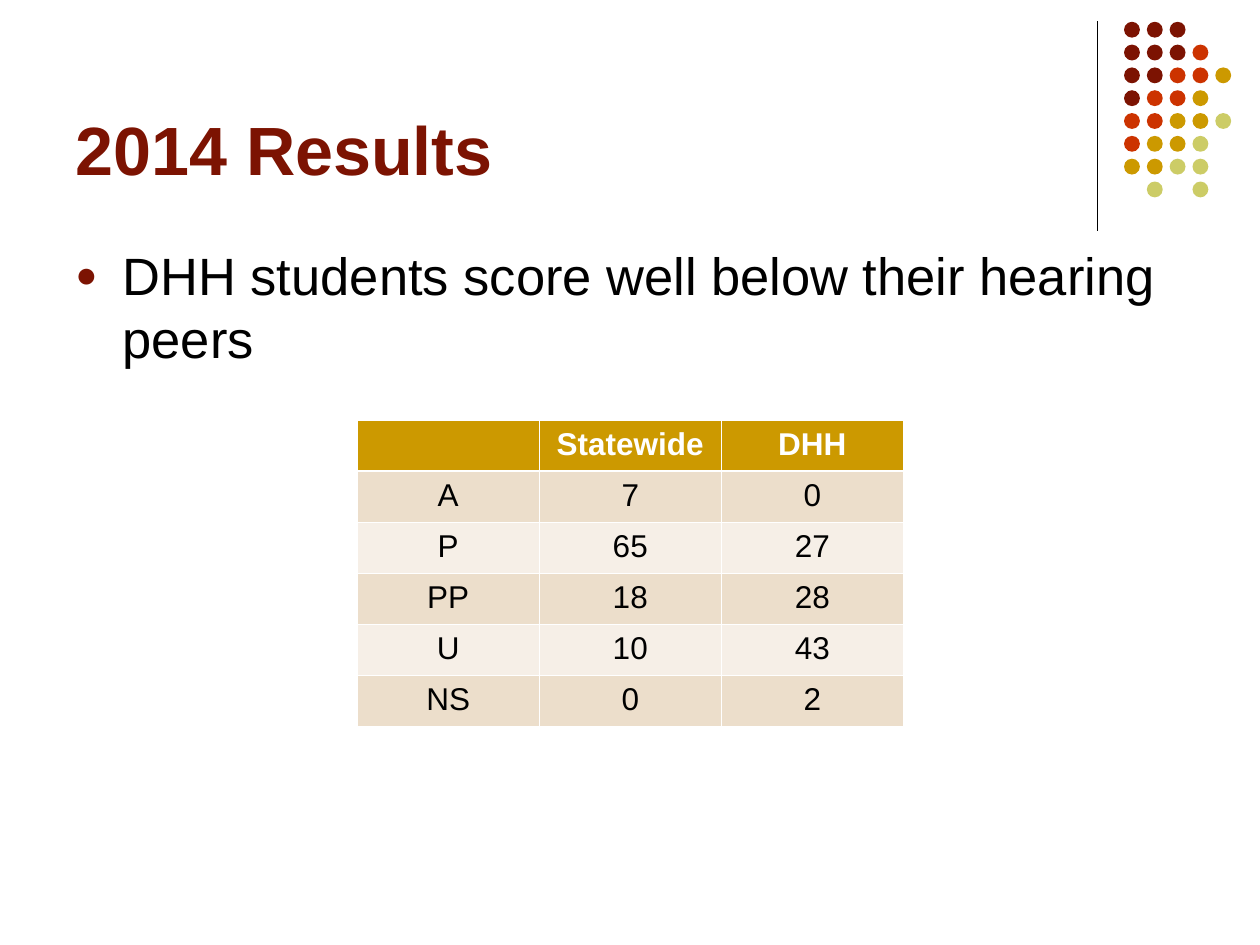
import pptx
import pptx.util
import pptx.dml.color
import pptx.enum.shapes
import pptx.enum.text
import pptx.oxml.ns
from lxml import etree

Cm, Pt = pptx.util.Cm, pptx.util.Pt
RGB = pptx.dml.color.RGBColor.from_string
qn = pptx.oxml.ns.qn
ALIGN = pptx.enum.text.PP_ALIGN
ANCHOR = pptx.enum.text.MSO_ANCHOR


class Theme:
    font = "Arial"
    maroon, red, gold, olive = "7C1302", "CC3300", "CC9900", "CCCC66"
    black, white = "000000", "FFFFFF"
    bands = ("ECDECB", "F6EFE7")
    title, body, table = 39, 30, 18


def write(tf, text, size, color=Theme.black, bold=False, align=ALIGN.LEFT,
          anchor=ANCHOR.TOP):
    tf.word_wrap = True
    tf.vertical_anchor = anchor
    p = tf.paragraphs[0]
    p.alignment = align
    r = p.add_run()
    r.text = text
    r.font.name, r.font.size, r.font.bold = Theme.font, Pt(size), bold
    r.font.color.rgb = RGB(color)
    return p


def add_border(tcPr, side, width):
    ln = etree.SubElement(tcPr, qn(f"a:ln{side}"), w=str(int(Pt(width))))
    fill = etree.SubElement(ln, qn("a:solidFill"))
    etree.SubElement(fill, qn("a:srgbClr"), val=Theme.white)


prs = pptx.Presentation()
prs.slide_width, prs.slide_height = Cm(25.4), Cm(19.05)
s = prs.slides.add_slide(prs.slide_layouts[6])

# Vertical rule
line = s.shapes.add_connector(pptx.enum.shapes.MSO_CONNECTOR.STRAIGHT,
                              Cm(22.12), Cm(0.43), Cm(22.12), Cm(4.65))
line.line.color.rgb = RGB(Theme.black)
line.line.width = Pt(0.75)
etree.SubElement(line._element.spPr, qn("a:effectLst"))

# Dot pattern: one letter per dot colour
dot_colors = {"m": Theme.maroon, "r": Theme.red, "g": Theme.gold, "o": Theme.olive}
dot_rows = ["mmm", "mmmr", "mmrrg", "mrrg", "rrggo", "rggo", "ggoo", ".o.o"]
pitch, diameter = 0.46, 0.32
dots = s.shapes.add_group_shape()
for i, row in enumerate(dot_rows):
    for j, key in enumerate(row):
        if key not in dot_colors:
            continue
        sp = dots.shapes.add_shape(pptx.enum.shapes.MSO_SHAPE.OVAL,
                                   Cm(22.66 + j * pitch), Cm(0.44 + i * pitch),
                                   Cm(diameter), Cm(diameter))
        sp.shadow.inherit = False
        sp.fill.solid()
        sp.fill.fore_color.rgb = RGB(dot_colors[key])
        sp.line.fill.background()

# Title
tb = s.shapes.add_textbox(Cm(1.27), Cm(0.33), Cm(20.96), Cm(3.61))
write(tb.text_frame, "2014 Results", Theme.title, color=Theme.maroon, bold=True,
      anchor=ANCHOR.BOTTOM)

# Bulleted statement
tb = s.shapes.add_textbox(Cm(1.27), Cm(4.78), Cm(22.86), Cm(12.24))
p = write(tb.text_frame, "DHH students score well below their hearing peers", Theme.body)
pPr = p._p.get_or_add_pPr()
pPr.set("marL", str(int(Cm(0.95))))
pPr.set("indent", str(int(Cm(-0.95))))
bullet_color = etree.SubElement(pPr, qn("a:buClr"))
etree.SubElement(bullet_color, qn("a:srgbClr"), val=Theme.maroon)
etree.SubElement(pPr, qn("a:buSzPct"), val="70000")
etree.SubElement(pPr, qn("a:buFont"), typeface=Theme.font)
etree.SubElement(pPr, qn("a:buChar"), char="●")

# Results table
rows = [
    ("", "Statewide", "DHH"),
    ("A", "7", "0"),
    ("P", "65", "27"),
    ("PP", "18", "28"),
    ("U", "10", "43"),
    ("NS", "0", "2"),
]
col_width, row_height = 3.67, 1.03
table = s.shapes.add_table(len(rows), len(rows[0]), Cm(7.2), Cm(8.47),
                           Cm(col_width * len(rows[0])),
                           Cm(row_height * len(rows))).table
for col in table.columns:
    col.width = Cm(col_width)
for i, row in enumerate(rows):
    table.rows[i].height = Cm(row_height)
    header = i == 0
    for j, text in enumerate(row):
        cell = table.cell(i, j)
        tcPr = cell._tc.get_or_add_tcPr()
        for side in "LRTB":
            heavy = (i, side) in ((0, "B"), (1, "T"))
            add_border(tcPr, side, 1.5 if heavy else 0.5)
        cell.fill.solid()
        cell.fill.fore_color.rgb = RGB(Theme.gold if header else Theme.bands[(i - 1) % 2])
        if text:
            write(cell.text_frame, text, Theme.table, bold=header, align=ALIGN.CENTER,
                  color=Theme.white if header else Theme.black)

prs.save("out.pptx")
